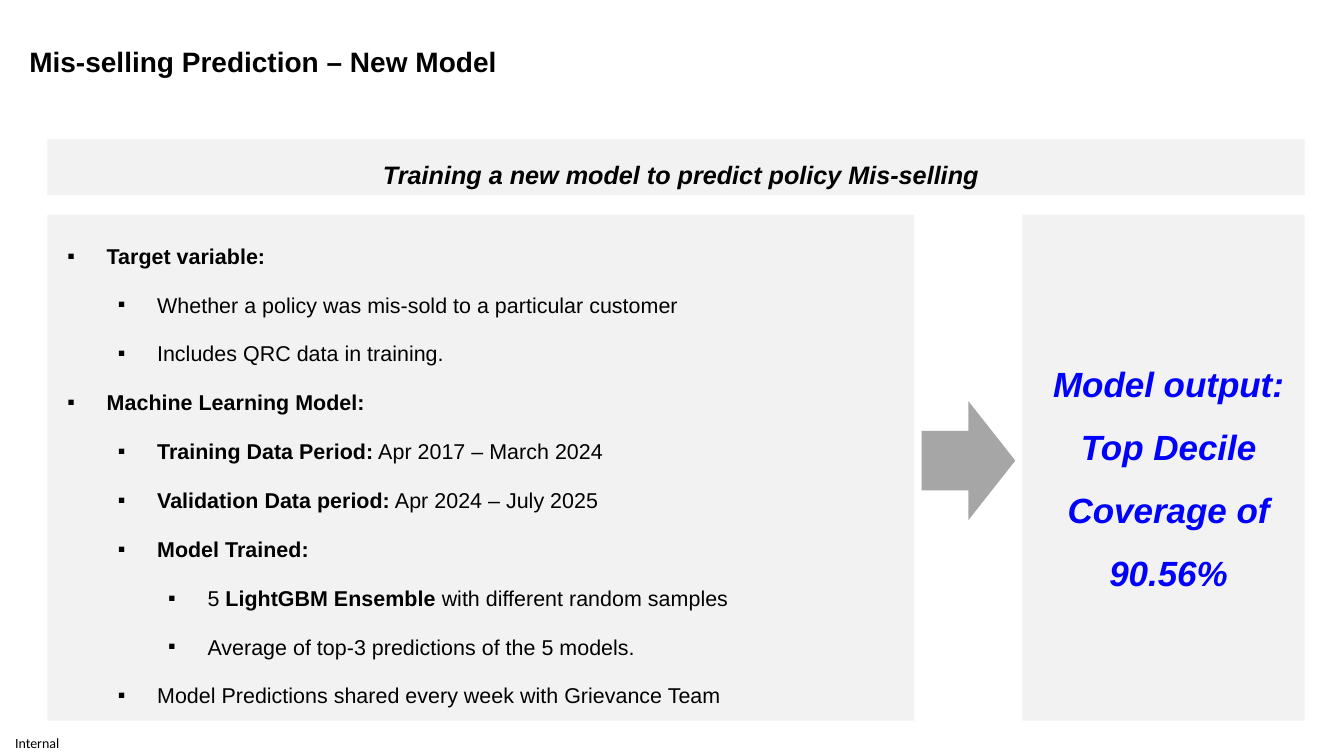
import dataclasses

import pptx
import pptx.dml.color
import pptx.enum.shapes
import pptx.enum.text
import pptx.oxml.ns
import pptx.util
from lxml import etree

PX = 9144  # 100 px to the inch
SHAPE = pptx.enum.shapes.MSO_SHAPE
ALIGN = pptx.enum.text.PP_ALIGN
ANCHOR = pptx.enum.text.MSO_ANCHOR


@dataclasses.dataclass(frozen=True)
class Theme:
    font: str = "Arial"
    small: str = "Calibri"
    ink: str = "000000"
    panel: str = "F2F2F2"
    arrow: str = "A6A6A6"
    accent: str = "0000FF"
    title: float = 20
    banner: float = 18
    body: float = 15.3
    result: float = 25
    label: float = 10


THEME = Theme()

# Each item: level, then (text, bold) runs
ITEMS = [
    (0, [("Target variable:", True)]),
    (1, [("Whether a policy was mis-sold to a particular customer", False)]),
    (1, [("Includes QRC data in training.", False)]),
    (0, [("Machine Learning Model:", True)]),
    (1, [("Training Data Period:", True), (" Apr 2017 – March 2024", False)]),
    (1, [("Validation Data period:", True), (" Apr 2024 – July 2025", False)]),
    (1, [("Model Trained:", True)]),
    (2, [("5 ", False), ("LightGBM Ensemble", True),
         (" with different random samples", False)]),
    (2, [("Average of top-3 predictions of the 5 models.", False)]),
    (1, [("Model Predictions shared every week with Grievance Team", False)]),
]


def color(code):
    return pptx.dml.color.RGBColor.from_string(code)


def scale(box):
    return [pptx.util.Emu(side * PX) for side in box]


def add_run(para, text, size, bold=False, italic=False, ink=THEME.ink,
            face=THEME.font):
    run = para.add_run()
    run.text = text
    font = run.font
    font.name, font.size = face, pptx.util.Pt(size)
    font.bold, font.italic = bold, italic
    font.color.rgb = color(ink)


def indent(para, left, hang=0, mark=None):
    props = para._p.get_or_add_pPr()
    props.set("marL", str(left * PX))
    props.set("indent", str(-hang * PX))
    if mark:
        for tag, key, value in (("a:buFont", "typeface", THEME.font),
                                ("a:buChar", "char", mark)):
            etree.SubElement(props, pptx.oxml.ns.qn(tag)).set(key, value)


def add_block(slide, box, fill, kind=SHAPE.RECTANGLE):
    shape = slide.shapes.add_shape(kind, *scale(box))
    shape.shadow.inherit = False
    shape.fill.solid()
    shape.fill.fore_color.rgb = color(fill)
    shape.line.fill.background()
    return shape


def add_title(slide, box, text):
    title = slide.shapes.title
    title.left, title.top, title.width, title.height = scale(box)
    frame = title.text_frame
    frame.auto_size = pptx.enum.text.MSO_AUTO_SIZE.NONE
    frame.vertical_anchor = ANCHOR.MIDDLE
    para = frame.paragraphs[0]
    para.alignment, para.line_spacing = ALIGN.LEFT, 0.9
    add_run(para, text, THEME.title, bold=True)


def add_callout(slide, box, text, size, ink):
    frame = add_block(slide, box, THEME.panel).text_frame
    frame.word_wrap = True
    frame.vertical_anchor = ANCHOR.MIDDLE
    para = frame.paragraphs[0]
    para.alignment, para.line_spacing = ALIGN.CENTER, 1.5
    indent(para, 10)
    add_run(para, text, size, bold=True, italic=True, ink=ink)


def add_list(slide, box, items):
    frame = add_block(slide, box, THEME.panel).text_frame
    frame.word_wrap = True
    frame.vertical_anchor = ANCHOR.TOP
    for place, (level, runs) in enumerate(items):
        para = frame.add_paragraph() if place else frame.paragraphs[0]
        para.alignment, para.line_spacing = ALIGN.LEFT, 1.9
        indent(para, 49 + 50 * level, 39, "▪")
        for text, bold in runs:
            add_run(para, text, THEME.body, bold)


def add_label(slide, box, text):
    frame = slide.shapes.add_textbox(*scale(box)).text_frame
    frame.word_wrap = True
    frame.vertical_anchor = ANCHOR.MIDDLE
    frame.margin_left = frame.margin_right = 0
    frame.margin_top = frame.margin_bottom = 0
    add_run(frame.paragraphs[0], text, THEME.label, face=THEME.small)


def add_flow(slide, box):
    """Place the list, the arrow and the result side by side."""
    left, top, width, height = box
    wide, narrow, gap, tall = 860, 280, 7, 118
    add_list(slide, (left, top, wide, height), ITEMS)
    add_callout(slide, (left + width - narrow, top, narrow, height),
                "Model output: Top Decile Coverage of 90.56%",
                THEME.result, THEME.accent)
    space = width - wide - narrow - 2 * gap
    add_block(slide, (left + wide + gap, top + 185, space, tall),
              THEME.arrow, SHAPE.RIGHT_ARROW)


def main():
    deck = pptx.Presentation()
    deck.slide_width, deck.slide_height = scale((1333, 750))
    slide = deck.slides.add_slide(deck.slide_layouts.get_by_name("Title Only"))
    add_title(slide, (19, 30, 994, 66), "Mis-selling Prediction – New Model")
    add_callout(slide, (47, 138, 1247, 56),
                "Training a new model to predict policy Mis-selling",
                THEME.banner, THEME.ink)
    add_flow(slide, (47, 213, 1247, 502))
    add_label(slide, (15, 722, 74, 29), "Internal")
    deck.save("out.pptx")


if __name__ == "__main__":
    main()
